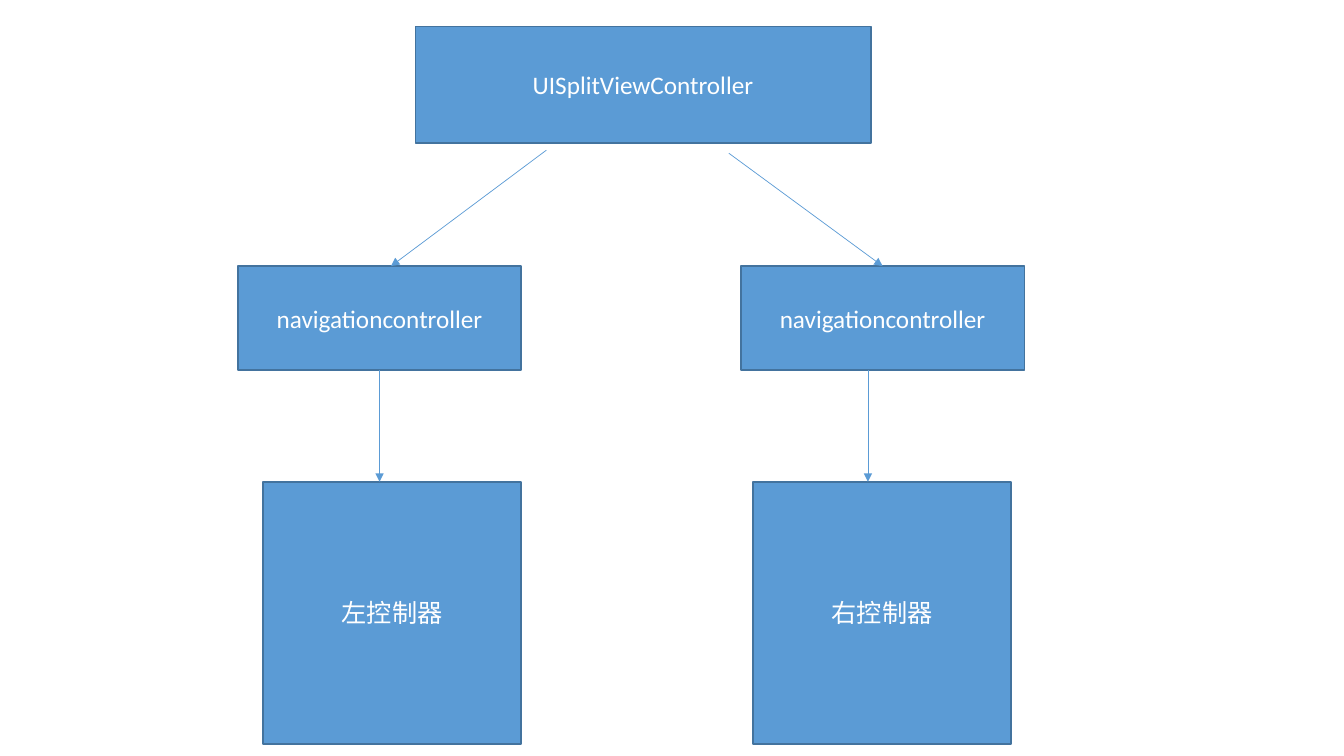
"""Build a slide showing how a split view controller holds its child controllers."""
from dataclasses import dataclass
from typing import Optional

from lxml import etree
from pptx import Presentation
from pptx.dml.color import RGBColor
from pptx.enum.shapes import MSO_CONNECTOR, MSO_SHAPE
from pptx.enum.text import MSO_ANCHOR, PP_ALIGN
from pptx.oxml.ns import qn
from pptx.shapes.autoshape import Shape
from pptx.shapes.connector import Connector
from pptx.slide import Slide
from pptx.util import Inches, Pt

RECTANGLE = MSO_SHAPE.RECTANGLE
STRAIGHT = MSO_CONNECTOR.STRAIGHT
MIDDLE = MSO_ANCHOR.MIDDLE
CENTER = PP_ALIGN.CENTER
BLANK_LAYOUT = 6
TOP, BOTTOM = 0, 2

SLIDE_WIDTH, SLIDE_HEIGHT = Inches(13.33), Inches(7.5)
COLORS = {"fill": "5B9BD5", "border": "43739E", "text": "FFFFFF"}
FONT_FORMAT = {"name": "Calibri", "size": Pt(18)}


@dataclass(frozen=True)
class Controller:
    """A labelled box, placed in percent of the slide's size."""
    label: str
    left: float
    top: float
    width: float
    height: float

    @property
    def center(self) -> float:
        return self.left + self.width / 2

    @property
    def bottom(self) -> float:
        return self.top + self.height


@dataclass(frozen=True)
class Arrow:
    """An arrow between two points in percent, optionally joined to boxes."""
    start: tuple[float, float]
    end: tuple[float, float]
    source: Optional[Controller] = None
    target: Optional[Controller] = None


def across(percent: float) -> int:
    """Convert a share of the slide's width to a length."""
    return round(SLIDE_WIDTH * percent / 100)


def down(percent: float) -> int:
    """Convert a share of the slide's height to a length."""
    return round(SLIDE_HEIGHT * percent / 100)


def color(role: str) -> RGBColor:
    """Look up the colour of a role."""
    return RGBColor.from_string(COLORS[role])


def draw_controller(slide: Slide, controller: Controller) -> Shape:
    """Draw one controller box with its centred label."""
    box = slide.shapes.add_shape(
        RECTANGLE, across(controller.left), down(controller.top),
        across(controller.width), down(controller.height))
    box.shadow.inherit = False
    box.fill.solid()
    box.fill.fore_color.rgb = color("fill")
    box.line.color.rgb = color("border")
    box.line.width = Pt(1)
    frame = box.text_frame
    frame.word_wrap = True
    frame.vertical_anchor = MIDDLE
    paragraph = frame.paragraphs[0]
    paragraph.alignment = CENTER
    run = paragraph.add_run()
    run.text = controller.label
    for attribute, value in FONT_FORMAT.items():
        setattr(run.font, attribute, value)
    run.font.color.rgb = color("text")
    return box


def draw_arrow(slide: Slide, arrow: Arrow, boxes: dict[Controller, Shape]) -> Connector:
    """Draw one arrow and join it to the boxes it names."""
    link = slide.shapes.add_connector(
        STRAIGHT, across(arrow.start[0]), down(arrow.start[1]),
        across(arrow.end[0]), down(arrow.end[1]))
    if arrow.source:
        link.begin_connect(boxes[arrow.source], BOTTOM)
    if arrow.target:
        link.end_connect(boxes[arrow.target], TOP)
    link.line.color.rgb = color("fill")
    link.line.width = Pt(0.5)
    etree.SubElement(link.line._get_or_add_ln(), qn("a:tailEnd"), type="triangle")
    etree.SubElement(link._element.spPr, qn("a:effectLst"))
    return link


def main() -> None:
    """Draw the controller tree and save it."""
    split_view = Controller("UISplitViewController", 30.9, 3.47, 33.9, 15.47)
    left_navigation, right_navigation = (
        Controller("navigationcontroller", left, 35.2, 21.08, 13.73)
        for left in (17.7, 55.13))
    left_content, right_content = (
        Controller(label, left, 63.73, 19.2, 34.67)
        for label, left in (("左控制器", 19.58), ("右控制器", 56.03)))
    controllers = (split_view, left_navigation, right_navigation,
                   left_content, right_content)
    arrows = (
        Arrow((40.65, 19.87), (29.1, left_navigation.top)),
        Arrow((54.23, 20.27), (right_navigation.center, right_navigation.top),
              target=right_navigation),
        Arrow((left_navigation.center, left_navigation.bottom),
              (left_navigation.center, left_content.top), source=left_navigation),
        Arrow((64.58, right_navigation.bottom), (64.58, right_content.top)),
    )

    presentation = Presentation()
    presentation.slide_width, presentation.slide_height = SLIDE_WIDTH, SLIDE_HEIGHT
    slide = presentation.slides.add_slide(presentation.slide_layouts[BLANK_LAYOUT])
    boxes = {controller: draw_controller(slide, controller) for controller in controllers}
    for arrow in arrows:
        draw_arrow(slide, arrow, boxes)
    presentation.save("out.pptx")


if __name__ == "__main__":
    main()
